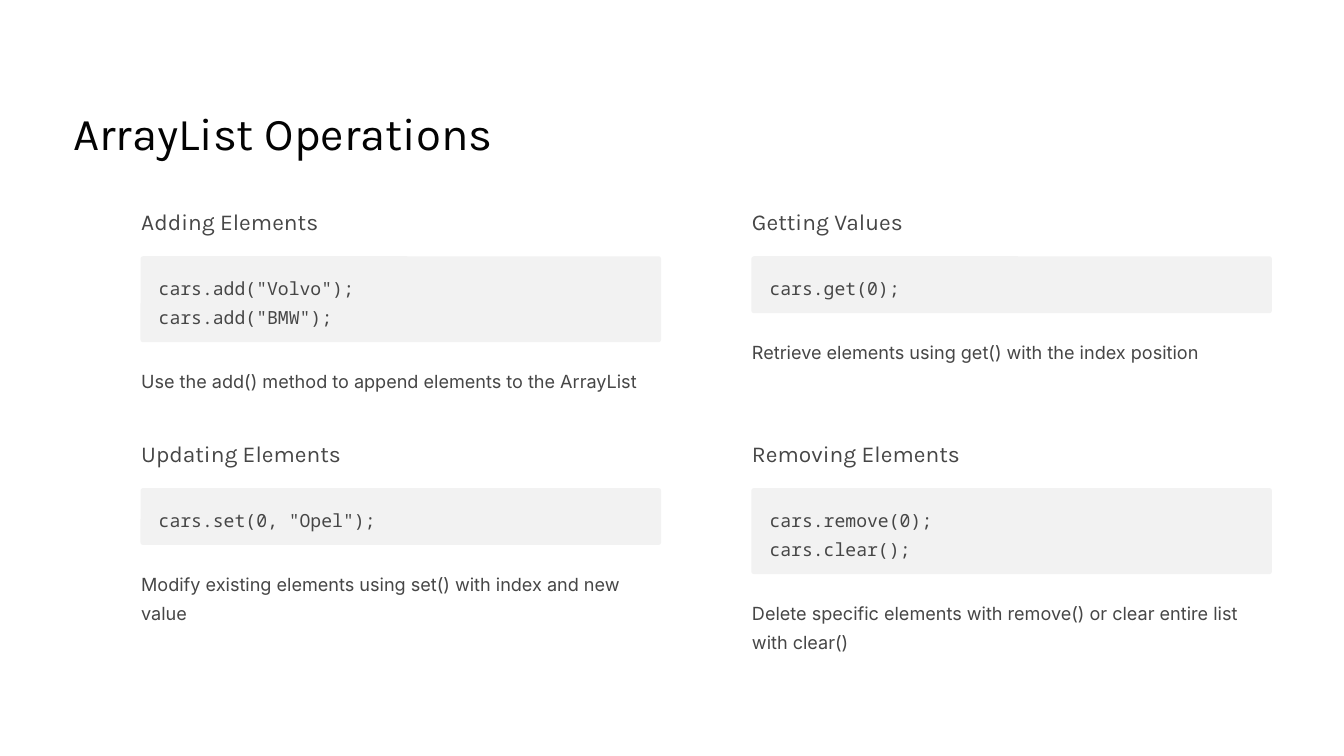
from pptx import Presentation
from pptx.dml.color import RGBColor
from pptx.enum.shapes import MSO_SHAPE
from pptx.enum.text import MSO_ANCHOR, MSO_AUTO_SIZE, PP_ALIGN
from pptx.util import Cm, Pt

# Content: heading, code lines, explanation, lines the explanation takes
TITLE = "ArrayList Operations"
OPERATIONS = [
    ("Adding Elements", ['cars.add("Volvo");', 'cars.add("BMW");'],
     "Use the add() method to append elements to the ArrayList", 1),
    ("Getting Values", ["cars.get(0);"],
     "Retrieve elements using get() with the index position", 1),
    ("Updating Elements", ['cars.set(0, "Opel");'],
     "Modify existing elements using set() with index and new value", 2),
    ("Removing Elements", ["cars.remove(0);", "cars.clear();"],
     "Delete specific elements with remove() or clear entire list with clear()", 2),
]

WHITE = RGBColor(0xFF, 0xFF, 0xFF)
BLACK = RGBColor(0x03, 0x03, 0x03)
GRAY = RGBColor(0x46, 0x46, 0x46)
CODE_FILL = RGBColor(0xF2, 0xF2, 0xF2)

# Grid, in centimetres
COLUMNS = 2
LEFT, TOP = 4.27, 6.27
COLUMN_STEP, ROW_STEP = 18.47, 7.01
COLUMN_WIDTH = 15.7
CODE_TOP = 1.48
CODE_INSET_X, CODE_INSET_Y = 0.53, 0.42
LINE_HEIGHT = 0.88
CAPTION_GAP = 0.64
CORNER_RADIUS = 0.08


def format_text(shape, lines, font_name, size, spacing, color, wrap=True):
    text_frame = shape.text_frame
    text_frame.text = "\n".join(lines)
    text_frame.word_wrap = wrap
    text_frame.auto_size = MSO_AUTO_SIZE.NONE
    text_frame.vertical_anchor = MSO_ANCHOR.TOP
    text_frame.margin_left = text_frame.margin_right = 0
    text_frame.margin_top = text_frame.margin_bottom = 0
    for paragraph in text_frame.paragraphs:
        paragraph.alignment = PP_ALIGN.LEFT
        paragraph.line_spacing = Pt(spacing)
        paragraph.space_before = Pt(0)
        for run in paragraph.runs:
            run.font.name = font_name
            run.font.size = Pt(size)
            run.font.color.rgb = color


def add_text(slide, left, top, width, height, *text_format, wrap=True):
    box = slide.shapes.add_textbox(Cm(left), Cm(top), Cm(width), Cm(height))
    format_text(box, *text_format, wrap=wrap)


def add_code_panel(slide, left, top, width, height):
    panel = slide.shapes.add_shape(
        MSO_SHAPE.ROUNDED_RECTANGLE, Cm(left), Cm(top), Cm(width), Cm(height))
    panel.adjustments[0] = CORNER_RADIUS / height
    panel.shadow.inherit = False
    panel.fill.solid()
    panel.fill.fore_color.rgb = CODE_FILL
    panel.line.fill.background()


def add_operation(slide, left, top, heading, code, caption, caption_lines):
    add_text(slide, left, top, 6.88, 0.86,
             [heading], "Karla", 19.5, 24, GRAY, wrap=False)

    # Code on its panel
    code_top = top + CODE_TOP
    code_height = len(code) * LINE_HEIGHT
    panel_height = code_height + 2 * CODE_INSET_Y
    add_code_panel(slide, left - 0.02, code_top, COLUMN_WIDTH + 0.04, panel_height)
    add_text(slide, left + CODE_INSET_X, code_top + CODE_INSET_Y,
             COLUMN_WIDTH - 2 * CODE_INSET_X, code_height,
             code, "Noto Sans Mono", 15.5, 25, GRAY)

    # Explanation below the panel
    add_text(slide, left, code_top + panel_height + CAPTION_GAP,
             COLUMN_WIDTH, caption_lines * LINE_HEIGHT,
             [caption], "Inter", 15.5, 25, GRAY)


def main():
    presentation = Presentation()
    presentation.slide_width, presentation.slide_height = Cm(40.64), Cm(22.86)
    slide = presentation.slides.add_slide(presentation.slide_layouts[5])
    slide.background.fill.solid()
    slide.background.fill.fore_color.rgb = WHITE

    # Title
    title = slide.shapes.title
    title.left, title.top, title.width, title.height = Cm(2.21), Cm(3.12), Cm(13.82), Cm(1.73)
    format_text(title, [TITLE], "Karla", 39, 48.5, BLACK, wrap=False)

    # Operations, row by row
    for index, operation in enumerate(OPERATIONS):
        row, column = divmod(index, COLUMNS)
        add_operation(slide, LEFT + column * COLUMN_STEP, TOP + row * ROW_STEP, *operation)

    presentation.save("out.pptx")


if __name__ == "__main__":
    main()
